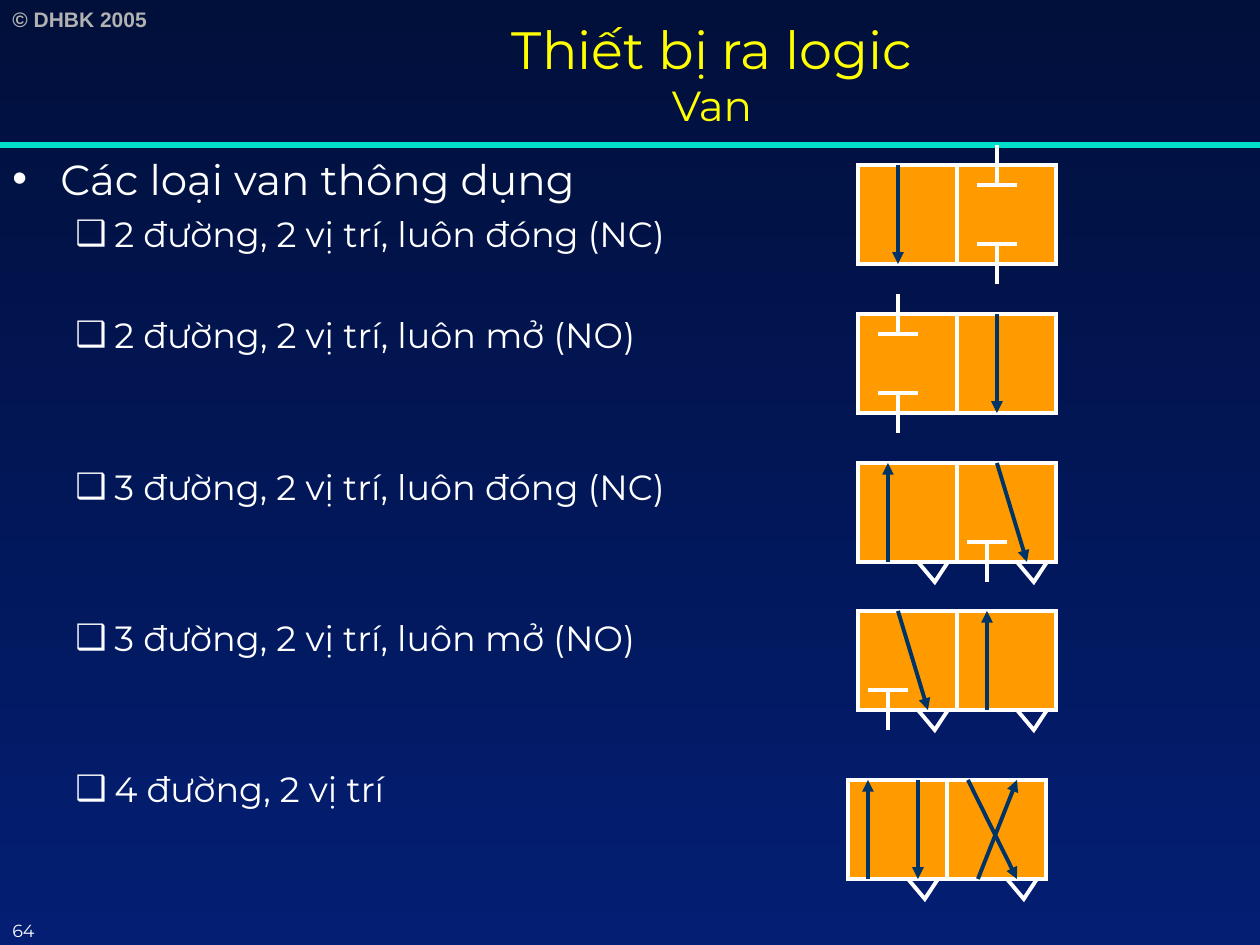
from lxml import etree
from pptx import Presentation
from pptx.dml.color import RGBColor
from pptx.enum.shapes import MSO_CONNECTOR, MSO_SHAPE
from pptx.enum.text import MSO_ANCHOR, PP_ALIGN
from pptx.oxml.ns import qn
from pptx.util import Pt

PX = 914400 // 126
STRAIGHT = MSO_CONNECTOR.STRAIGHT
RECTANGLE = MSO_SHAPE.RECTANGLE
TRIANGLE = MSO_SHAPE.ISOSCELES_TRIANGLE
TOP, MIDDLE = MSO_ANCHOR.TOP, MSO_ANCHOR.MIDDLE
LEFT, CENTER = PP_ALIGN.LEFT, PP_ALIGN.CENTER

NIGHT = RGBColor(0x01, 0x0F, 0x3B)
BLUE = RGBColor(0x03, 0x1E, 0x73)
TEAL = RGBColor(0x00, 0xDF, 0xCA)
YELLOW = RGBColor(0xFF, 0xFF, 0x00)
WHITE = RGBColor(0xFF, 0xFF, 0xFF)
GRAY = RGBColor(0xB2, 0xB2, 0xB2)
ORANGE = RGBColor(0xFF, 0x9B, 0x00)
NAVY = RGBColor(0x00, 0x33, 0x66)

CELL = 99  # side of one valve position
STUB = 20  # port stub beyond the cell edge, and half a stop bar


def add_run(paragraph, text, size=20, color=WHITE, font="Montserrat", bold=False):
    run = paragraph.add_run()
    run.text = text
    run.font.size = Pt(size)
    run.font.name = font
    run.font.bold = bold
    run.font.color.rgb = color


def set_bullet(paragraph, character, margin, hanging):
    properties = paragraph._p.get_or_add_pPr()
    properties.set("marL", str(margin * PX))
    properties.set("indent", str(-hanging * PX))
    etree.SubElement(properties, qn("a:buFont"), typeface="Arial")
    etree.SubElement(properties, qn("a:buChar"), char=character)


class SlideBuilder:
    line_width = 2.25

    def __init__(self, slide):
        self.slide = slide

    def background(self, top_color, bottom_color):
        fill = self.slide.background.fill
        fill.gradient()
        fill.gradient_angle = 270
        for stop, color in zip(fill.gradient_stops, (top_color, bottom_color)):
            stop.color.rgb = color

    def text_frame(self, left, top, width, height, anchor=TOP):
        box = self.slide.shapes.add_textbox(left * PX, top * PX, width * PX, height * PX)
        box.text_frame.word_wrap = True
        box.text_frame.vertical_anchor = anchor
        return box.text_frame

    def label(self, left, top, width, height, text, **style):
        add_run(self.text_frame(left, top, width, height).paragraphs[0], text, **style)

    def line(self, start, end, color=WHITE, width=line_width, arrow=False):
        points = [value * PX for value in (*start, *end)]
        connector = self.slide.shapes.add_connector(STRAIGHT, *points)
        connector.line.color.rgb = color
        connector.line.width = Pt(width)
        properties = connector._element.spPr
        if arrow:
            etree.SubElement(properties.find(qn("a:ln")), qn("a:tailEnd"), type="triangle")
        etree.SubElement(properties, qn("a:effectLst"))

    def outline(self, kind, left, top, width, height, fill=None):
        shape = self.slide.shapes.add_shape(kind, left * PX, top * PX, width * PX, height * PX)
        shape.shadow.inherit = False
        if fill is None:
            shape.fill.background()
        else:
            shape.fill.solid()
            shape.fill.fore_color.rgb = fill
        shape.line.color.rgb = WHITE
        shape.line.width = Pt(self.line_width)
        etree.SubElement(shape._element.spPr.find(qn("a:ln")), qn("a:miter"), lim="800000")
        return shape

    def closed_port(self, x, edge, direction):
        """T mark: direction 1 closes a bottom port, -1 a top port."""
        bar = edge - direction * STUB
        self.line((x, bar), (x, edge + direction * STUB))
        self.line((x - STUB, bar), (x + STUB, bar))

    def vent(self, left, top):
        triangle = self.outline(TRIANGLE, left, top, 30, 20)
        triangle.rotation = 180
        triangle.adjustments[0] = 0.44

    def valve(self, left, top, down=(), up=(), closed_top=(), closed_bottom=(), vents=()):
        """Two cells; down and up hold (start x, end x) of each flow arrow."""
        bottom = top + CELL
        for cell in range(2):
            self.outline(RECTANGLE, left + cell * CELL, top, CELL, CELL, ORANGE)
        for x in vents:
            self.vent(left + x, bottom)
        for x in closed_top:
            self.closed_port(left + x, top, -1)
        for x in closed_bottom:
            self.closed_port(left + x, bottom, 1)
        for flows, start_y, end_y in ((down, top, bottom), (up, bottom, top)):
            for start_x, end_x in flows:
                self.line((left + start_x, start_y), (left + end_x, end_y), NAVY, arrow=True)


VALVE_TYPES = [  # text, space before in points
    ("2 đường, 2 vị trí, luôn đóng (NC)", 5),
    ("2 đường, 2 vị trí, luôn mở (NO)", 34),
    ("3 đường, 2 vị trí, luôn đóng (NC)", 62.5),
    ("3 đường, 2 vị trí, luôn mở (NO)", 62.5),
    ("4 đường, 2 vị trí", 62.5),
]
VENTS = (60, 60 + CELL)
VALVES = [
    dict(left=858, top=165, down=[(40, 40)], closed_top=[139], closed_bottom=[139]),
    dict(left=858, top=314, down=[(139, 139)], closed_top=[40], closed_bottom=[40]),
    dict(left=858, top=463, down=[(139, 169)], up=[(30, 30)], closed_bottom=[129], vents=VENTS),
    dict(left=858, top=611, down=[(40, 70)], up=[(129, 129)], closed_bottom=[30], vents=VENTS),
    dict(left=848, top=780, down=[(70, 70), (120, 169)], up=[(20, 20), (130, 169)], vents=VENTS),
]


def main():
    presentation = Presentation()
    presentation.slide_width = 1260 * PX
    presentation.slide_height = 945 * PX
    builder = SlideBuilder(presentation.slides.add_slide(presentation.slide_layouts[6]))

    # Background and header
    builder.background(NIGHT, BLUE)
    builder.label(0, 0, 183, 38, "© DHBK 2005", size=12, color=GRAY, font="Arial", bold=True)
    builder.line((0, 145), (1260, 145), TEAL, width=3)
    title = builder.text_frame(164, 0, 1096, 147, MIDDLE).paragraphs[0]
    title.alignment = CENTER
    add_run(title, "Thiết bị ra logic", size=30, color=YELLOW)
    title.add_line_break()
    add_run(title, "Van", size=24, color=YELLOW)

    # List of valve types
    body = builder.text_frame(0, 147, 1260, 798)
    heading = body.paragraphs[0]
    heading.alignment = LEFT
    set_bullet(heading, "•", 48, 48)
    add_run(heading, "Các loại van thông dụng", size=24)
    for text, space_before in VALVE_TYPES:
        paragraph = body.add_paragraph()
        paragraph.space_before = Pt(space_before)
        set_bullet(paragraph, "❑", 102, 39)
        add_run(paragraph, text)

    # Valve symbols
    for valve in VALVES:
        builder.valve(**valve)

    # Page number
    builder.label(0, 914, 84, 31, "64", size=10)

    presentation.save("out.pptx")


if __name__ == "__main__":
    main()
